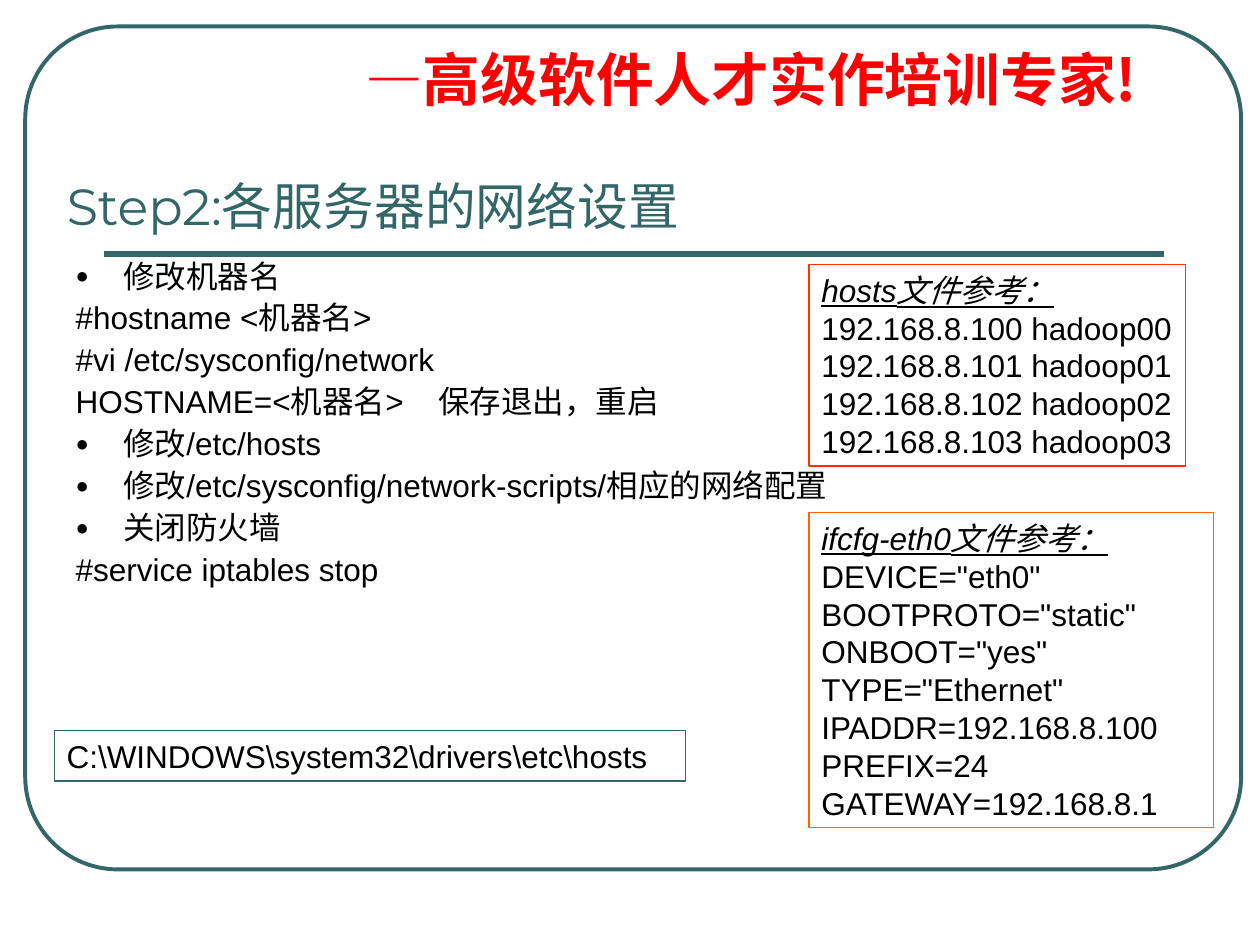
from lxml.etree import SubElement
from pptx import Presentation
from pptx.dml.color import RGBColor
from pptx.enum.shapes import MSO_CONNECTOR as Connector, MSO_SHAPE as Shape
from pptx.enum.text import MSO_ANCHOR as Anchor, MSO_AUTO_SIZE as AutoSize, PP_ALIGN as Align
from pptx.oxml.ns import qn
from pptx.util import Inches, Pt

COLORS = {"teal": "336666", "red": "FF0000", "vermilion": "FF3300",
          "orange": "FF6600", "black": "000000"}
CJK = "Noto Sans CJK SC"
WIDTH, HEIGHT = 10, 7.5
HANGING = 0.38


def color(name):
    return RGBColor.from_string(COLORS[name])


def place(shape, box):
    shape.left, shape.top, shape.width, shape.height = map(Inches, box)


def add_text(paragraph, text, size=18, font="Arial", fill="black", bold=False, italic=False,
             underline=False):
    run = paragraph.add_run()
    run.text = text
    run.font.size, run.font.name = Pt(size), font
    run.font.color.rgb = color(fill)
    run.font.bold, run.font.italic, run.font.underline = bold, italic, underline
    SubElement(run.font._element, qn("a:ea"), typeface=CJK)


def indent(paragraph, bullet=False, tab=None):
    properties = paragraph._p.get_or_add_pPr()
    properties.set("marL", str(Inches(HANGING)))
    properties.set("indent", str(-Inches(HANGING)))
    if bullet:
        bullet_color = SubElement(properties, qn("a:buClr"))
        SubElement(bullet_color, qn("a:srgbClr"), val=COLORS["black"])
        SubElement(properties, qn("a:buSzPct"), val="70000")
        SubElement(properties, qn("a:buChar"), char="●")
    else:
        SubElement(properties, qn("a:buNone"))
    if tab:
        tabs = SubElement(properties, qn("a:tabLst"))
        SubElement(tabs, qn("a:tab"), pos=str(Inches(tab)), algn="l")
    paragraph.line_spacing = 0.9


def paragraphs(frame, count):
    frame.word_wrap = True
    frame.auto_size = AutoSize.NONE
    return [frame.paragraphs[0]] + [frame.add_paragraph() for _ in range(count - 1)]


def add_outline(slide, kind, box, line, weight):
    shape = slide.shapes.add_shape(kind, *map(Inches, box))
    shape.shadow.inherit = False
    shape.fill.background()
    shape.line.color.rgb = color(line)
    shape.line.width = Pt(weight)
    return shape


def add_frame(slide, box):
    left, top, width, height = box
    frame = add_outline(slide, Shape.ROUNDED_RECTANGLE, box, "teal", 2.25)
    frame.adjustments[0] = 0.11
    rule_top = top + 0.27 * height
    rule = slide.shapes.add_connector(
        Connector.STRAIGHT, Inches(left + 0.065 * width), Inches(rule_top),
        Inches(left + 0.937 * width), Inches(rule_top))
    rule.line.color.rgb = color("teal")
    rule.line.width = Pt(3)
    SubElement(rule._element.spPr, qn("a:effectLst"))


def add_slogan(slide, box):
    shape = slide.shapes.add_textbox(*map(Inches, box))
    paragraph, = paragraphs(shape.text_frame, 1)
    indent(paragraph)
    for text, font in (("—", "Montserrat"), ("高级软件人才实作培训专家!", CJK)):
        add_text(paragraph, text, size=33, font=font, fill="red", bold=True)


def fill_title(title, box, text):
    place(title, box)
    title.text_frame.vertical_anchor = Anchor.MIDDLE
    paragraph, = paragraphs(title.text_frame, 1)
    paragraph.alignment = Align.LEFT
    add_text(paragraph, text, size=29, font="Montserrat", fill="teal")


def fill_body(body, box, items):
    place(body, box)
    for number, (paragraph, (text, bullet)) in enumerate(
            zip(paragraphs(body.text_frame, len(items)), items)):
        indent(paragraph, bullet, tab=3.12 if "\t" in text else None)
        paragraph.space_before = Pt(4.5 if number else 0)
        add_text(paragraph, text)


def add_note(slide, box, line, lines, heading=None):
    shape = add_outline(slide, Shape.RECTANGLE, box, line, 0.75)
    shape.text_frame.vertical_anchor = Anchor.TOP
    texts = [heading] * bool(heading) + lines
    for paragraph, text in zip(paragraphs(shape.text_frame, len(texts)), texts):
        paragraph.alignment = Align.LEFT
        marked = text == heading
        add_text(paragraph, text, italic=marked, underline=marked)


def main():
    presentation = Presentation()
    presentation.slide_width, presentation.slide_height = Inches(WIDTH), Inches(HEIGHT)
    slide = presentation.slides.add_slide(presentation.slide_layouts[1])
    add_frame(slide, (0.2, 0.21, 9.65, 6.69))
    add_slogan(slide, (2.8, 0.36, 6.3, 0.6))
    fill_title(slide.shapes.title, (0.43, 1.31, 9, 0.64), "Step2:各服务器的网络设置")
    fill_body(slide.placeholders[1], (0.5, 2.02, 9, 4.68), [
        ("修改机器名", True),
        ("#hostname <机器名>", False),
        ("#vi /etc/sysconfig/network", False),
        ("HOSTNAME=<机器名>\t保存退出，重启", False),
        ("修改/etc/hosts", True),
        ("修改/etc/sysconfig/network-scripts/相应的网络配置", True),
        ("关闭防火墙", True),
        ("#service iptables stop", False),
    ])
    add_note(slide, (6.42, 2.1, 2.99, 1.6), "vermilion",
             [f"192.168.8.{100 + number} hadoop{number:02}" for number in range(4)],
             heading="hosts文件参考：")
    add_note(slide, (0.43, 5.8, 5.01, 0.4), "teal",
             [r"C:\WINDOWS\system32\drivers\etc\hosts"])
    add_note(slide, (6.42, 4.07, 3.21, 2.5), "orange",
             ['DEVICE="eth0"', 'BOOTPROTO="static"', 'ONBOOT="yes"', 'TYPE="Ethernet"',
              "IPADDR=192.168.8.100", "PREFIX=24", "GATEWAY=192.168.8.1"],
             heading="ifcfg-eth0文件参考：")
    presentation.save("out.pptx")


if __name__ == "__main__":
    main()
